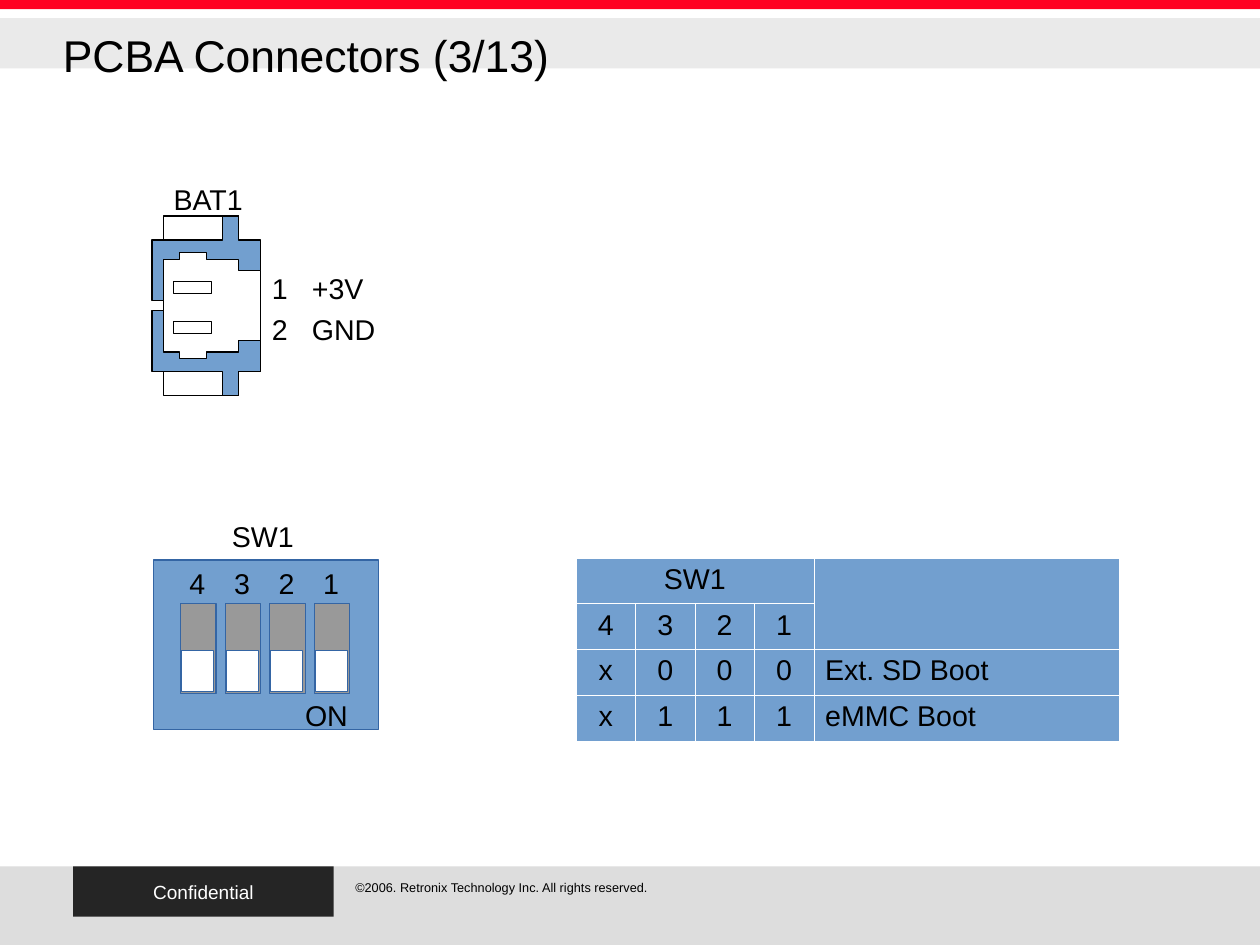
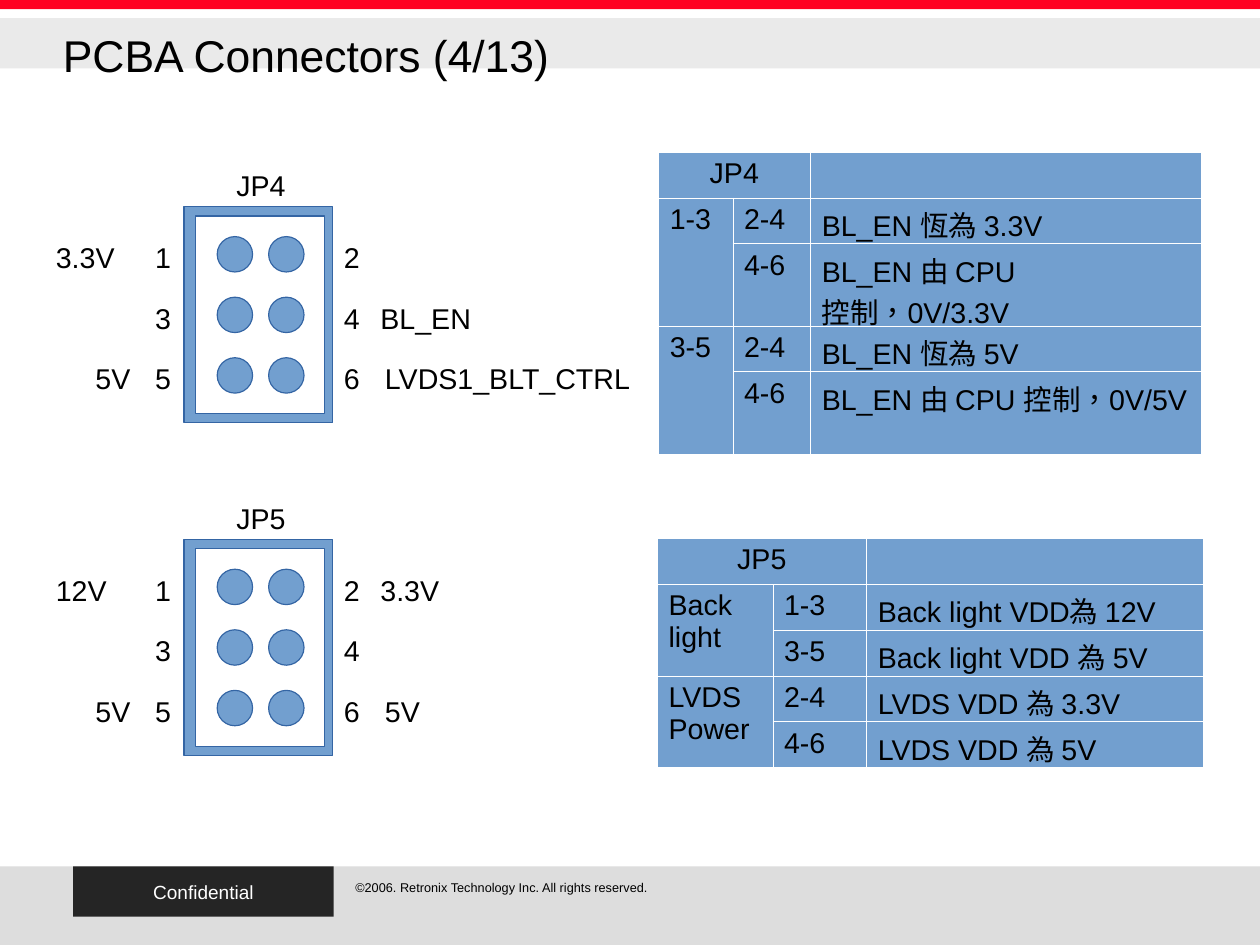
from pptx import Presentation
from pptx import util as u
from pptx.dml import color
from pptx.enum import lang, shapes, text
from pptx.oxml import parse_xml
from pptx.oxml import ns

FONT = "Arial"
BLUE, EDGE, GREY = "729FCF", "3465A4", "999999"
WHITE, BLACK = "FFFFFF", "000000"
RED, PALE, FOOT, DARK = "FF0022", "EAEAEA", "DDDDDD", "252525"
LEFT, CENTER, RIGHT = (
    text.PP_ALIGN.LEFT, text.PP_ALIGN.CENTER, text.PP_ALIGN.RIGHT)
RECT, OVAL = shapes.MSO_SHAPE.RECTANGLE, shapes.MSO_SHAPE.OVAL
WIDTH, HEIGHT = 28 / 2.54, 21 / 2.54
HUNDREDTH = u.Inches(0.01)


def rgb(value):
    return color.RGBColor.from_string(value)


def write(para, content, size=18, ink=BLACK, align=LEFT):
    para.alignment = align
    span = para.add_run()
    span.text = content
    span.font.name = FONT
    span.font.size = u.Pt(size)
    span.font.color.rgb = rgb(ink)
    return span


def paint(shape, fill, line):
    shape.shadow.inherit = False
    if fill:
        shape.fill.solid()
        shape.fill.fore_color.rgb = rgb(fill)
    else:
        shape.fill.background()
    if line:
        shape.line.color.rgb = rgb(line)
        shape.line.width = u.Pt(0)
    else:
        shape.line.fill.background()
    return shape


def block(parent, left, top, width, height, fill, line=EDGE, kind=RECT):
    shape = parent.shapes.add_shape(
        kind, u.Inches(left), u.Inches(top), u.Inches(width), u.Inches(height))
    return paint(shape, fill, line)


def label(parent, left, top, content, width=0.75, align=LEFT, size=18):
    box = parent.shapes.add_textbox(
        u.Inches(left), u.Inches(top), u.Inches(width), u.Inches(0.38))
    frame = box.text_frame
    frame.word_wrap = True
    frame.margin_right = 0
    write(frame.paragraphs[0], content, size, align=align)
    return box


def outline(parent, left, top, contours, fill):
    builder = None
    for contour in contours:
        if builder is None:
            builder = parent.shapes.build_freeform(*contour[0], scale=HUNDREDTH)
        else:
            builder.move_to(*contour[0])
        builder.add_line_segments(contour[1:], close=True)
    shape = builder.convert_to_shape(u.Inches(left), u.Inches(top))
    return paint(shape, fill, BLACK)


def brand_master(deck, page):
    bands = [
        block(page, 0, 0, WIDTH, 0.08, RED, None),
        block(page, 0, 0.16, WIDTH, 0.44, PALE, None),
        block(page, 0, 7.58, WIDTH, HEIGHT - 7.58, FOOT, None),
        block(page, 0.64, 7.58, 2.28, 0.44, DARK, None),
    ]
    frame = bands[-1].text_frame
    frame.vertical_anchor = text.MSO_ANCHOR.MIDDLE
    write(frame.paragraphs[0], "Confidential", 12, WHITE, CENTER)
    bands.append(label(
        page, 3.01, 7.65,
        "©2006. Retronix Technology Inc. All rights reserved.", 3.82, size=8))
    tree = deck.slide_master.element.cSld.spTree
    for index, band in enumerate(bands):
        band.element.nvSpPr.cNvPr.set("id", str(100 + index))
        tree.insert(2 + index, band.element)


def titled_page(deck, title):
    page = deck.slides.add_slide(deck.slide_layouts[5])
    box = page.shapes.title
    box.left, box.top = u.Inches(0.55), u.Inches(0.16)
    box.width, box.height = u.Inches(7.48), u.Inches(0.63)
    frame = box.text_frame
    frame.margin_left = frame.margin_right = 0
    frame.margin_top = frame.margin_bottom = 0
    frame.vertical_anchor = text.MSO_ANCHOR.MIDDLE
    write(frame.paragraphs[0], title, 28)
    return page


def style_cell(cell):
    cell.fill.solid()
    cell.fill.fore_color.rgb = rgb(BLUE)
    for index, side in enumerate(("lnL", "lnR", "lnT", "lnB")):
        cell._tc.get_or_add_tcPr().insert(index, parse_xml(
            f'<a:{side} {ns.nsdecls("a")} w="762"><a:solidFill>'
            f'<a:srgbClr val="{WHITE}"/></a:solidFill></a:{side}>'))


def settings_table(page, left, top, widths, heights, rows, merges, centred=0):
    table = page.shapes.add_table(
        len(rows), len(widths), u.Inches(left), u.Inches(top),
        u.Inches(sum(widths)), u.Inches(sum(heights))).table
    table.first_row = table.horz_banding = False
    for column, width in zip(table.columns, widths):
        column.width = u.Inches(width)
    for row, height in zip(table.rows, heights):
        row.height = u.Inches(height)
    for r, row in enumerate(rows):
        for c, content in enumerate(row):
            cell = table.cell(r, c)
            style_cell(cell)
            if content:
                align = CENTER if r == 0 or c < centred else LEFT
                span = write(cell.text_frame.paragraphs[0], content, align=align)
                if not content.isascii():
                    span.font.language_id = (
                        lang.MSO_LANGUAGE_ID.TRADITIONAL_CHINESE)
    for first, last in merges:
        table.cell(*first).merge(table.cell(*last))


def battery_connector(page, left, top):
    group = page.shapes.add_group_shape()
    label(group, left + 0.09, top - 0.35, "BAT1", 0.8)
    for row, signal in enumerate(("+3V", "GND")):
        y = top + 0.43 + 0.36 * row
        label(group, left + 0.95, y, str(row + 1), 0.34)
        label(group, left + 1.3, y, signal)
    housing = [(10, 0), (76, 0), (76, 22), (95, 22), (95, 136), (76, 136),
               (76, 157), (10, 157)]
    outline(group, left, top, [housing], WHITE)
    for row in range(2):
        block(group, left + 0.19, top + 0.57 + 0.35 * row, 0.33, 0.11,
              None, BLACK)
    lower = [(10, 83), (10, 119), (24, 119), (24, 125), (48, 125), (48, 119),
             (76, 119), (76, 109), (95, 109), (95, 136), (76, 136), (76, 157),
             (62, 157), (62, 136), (0, 136), (0, 83)]
    upper = [(x, 157 - y) for x, y in lower]
    outline(group, left, top, [lower, upper], BLUE)


def dip_switch(page, left, top):
    block(page, left, top, 1.97, 1.48, BLUE)
    label(page, left + 0.59, top - 0.41, "SW1")
    for index, digit in enumerate("4321"):
        x = left + 0.24 + 0.39 * index
        label(page, x - 0.02, top, digit, 0.34)
        slot = page.shapes.add_group_shape()
        block(slot, x, top + 0.38, 0.31, 0.79, GREY)
        block(slot, x + 0.01, top + 0.79, 0.28, 0.36, WHITE)
    label(page, left + 1.23, top + 1.16, "ON")


def pin_header(page, left, top, name, signals):
    group = page.shapes.add_group_shape()
    block(group, left, top, 1.3, 1.89, BLUE)
    block(group, left + 0.1, top + 0.08, 1.13, 1.73, WHITE)
    label(group, left + 0.36, top - 0.39, name)
    for row in range(3):
        last = row == 2
        y = top + 0.24 + 0.53 * row
        sides = (
            (-0.35, -1.22, 0.75, RIGHT if last else LEFT),
            (1.3, 1.66 if last else 1.62, 2.34, LEFT),
        )
        for side, (digit_x, signal_x, width, align) in enumerate(sides):
            pin = 2 * row + side + 1
            block(group, left + 0.29 + 0.45 * side, y + 0.02, 0.31, 0.31,
                  BLUE, kind=OVAL)
            label(group, left + digit_x, y, str(pin), 0.34)
            if pin in signals:
                label(group, left + signal_x, y, signals[pin], width, align)


def battery_and_switch(page):
    battery_connector(page, 1.33, 1.89)
    dip_switch(page, 1.34, 4.9)
    settings_table(
        page, 5.04, 4.88, [0.52] * 4 + [2.67], [0.4] * 4,
        [("SW1", "", "", "", ""),
         ("4", "3", "2", "1", ""),
         ("x", "0", "0", "0", "Ext. SD Boot"),
         ("x", "1", "1", "1", "eMMC Boot")],
        [((0, 0), (0, 3)), ((0, 4), (1, 4))], centred=4)


def jumper_headers(page):
    merges = [((0, 0), (0, 1)), ((1, 0), (2, 0)), ((3, 0), (4, 0))]
    pin_header(page, 1.61, 1.81, "JP4",
               {1: "3.3V", 4: "BL_EN", 5: "5V", 6: "LVDS1_BLT_CTRL"})
    settings_table(
        page, 5.76, 1.33, [0.65, 0.68, 3.42], [0.4, 0.4, 0.72, 0.4, 0.72],
        [("JP4", "", ""),
         ("1-3", "2-4", "BL_EN 恆為 3.3V"),
         ("", "4-6", "BL_EN 由 CPU 控制，0V/3.3V"),
         ("3-5", "2-4", "BL_EN 恆為 5V"),
         ("", "4-6", "BL_EN 由 CPU 控制，0V/5V")], merges)
    pin_header(page, 1.61, 4.72, "JP5",
               {1: "12V", 2: "3.3V", 5: "5V", 6: "5V"})
    settings_table(
        page, 5.75, 4.71, [1.01, 0.82, 2.95], [0.4] * 5,
        [("JP5", "", ""),
         ("Back light", "1-3", "Back light VDD為 12V"),
         ("", "3-5", "Back light VDD 為 5V"),
         ("LVDS Power", "2-4", "LVDS VDD 為 3.3V"),
         ("", "4-6", "LVDS VDD 為 5V")], merges)


def main():
    deck = Presentation()
    deck.slide_width, deck.slide_height = u.Inches(WIDTH), u.Inches(HEIGHT)
    first = titled_page(deck, "PCBA Connectors (3/13)")
    brand_master(deck, first)
    battery_and_switch(first)
    jumper_headers(titled_page(deck, "PCBA Connectors (4/13)"))
    deck.save("out.pptx")


if __name__ == "__main__":
    main()
